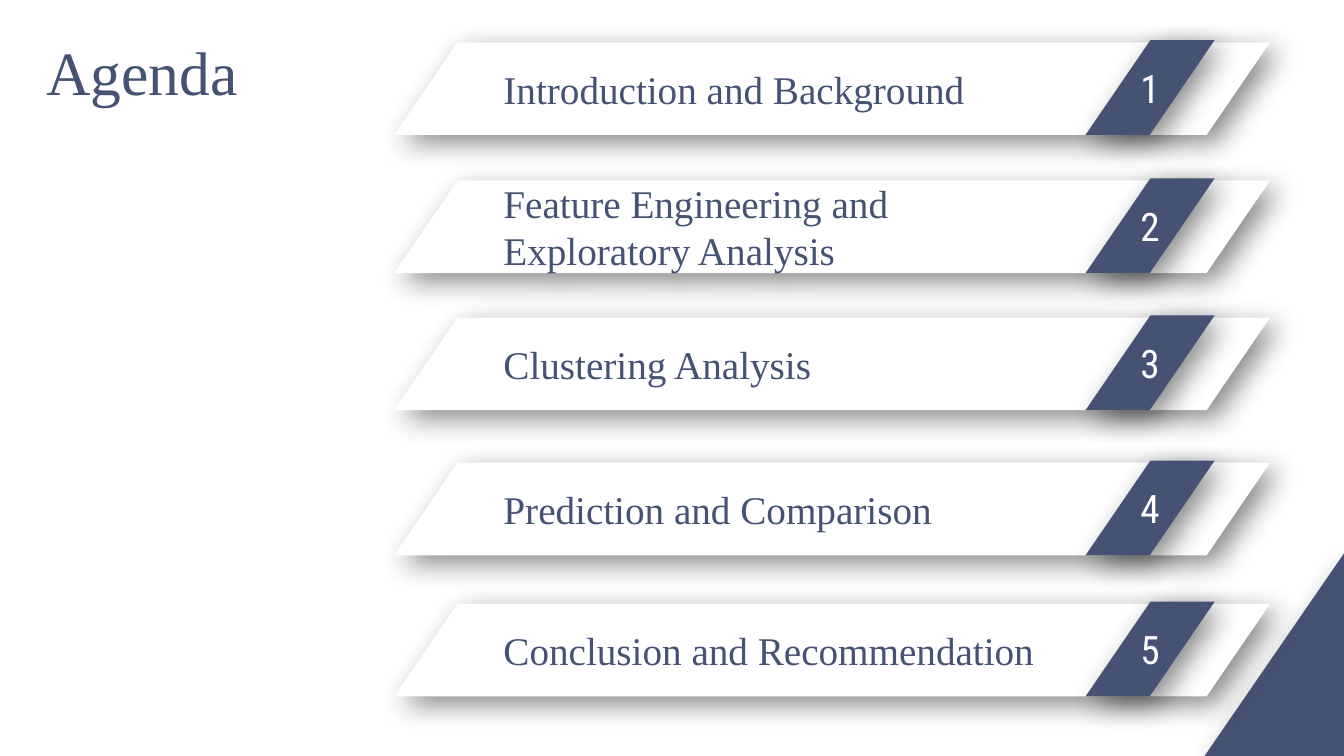
"""Agenda slide: five slanted bars with numbered tabs."""
from lxml import etree
from pptx import Presentation
from pptx.dml.color import RGBColor
from pptx.enum import shapes as kinds, text as txt
from pptx.oxml import ns
from pptx.util import Pt

NAVY = RGBColor(0x45, 0x52, 0x73)
WHITE = RGBColor(0xFF, 0xFF, 0xFF)
SLANT = 0.685
TOPICS = [
    (30.2, "Introduction and Background"),
    (128.9, "Feature Engineering and\nExploratory Analysis"),
    (226.8, "Clustering Analysis"),
    (330.5, "Prediction and Comparison"),
    (431.3, "Conclusion and Recommendation"),
]


def paint(shape, color):
    """Fill without outline and cast a soft shadow to the lower right."""
    shape.fill.solid()
    shape.fill.fore_color.rgb = color
    shape.line.fill.background()
    shape.shadow.inherit = False
    effects = shape._element.spPr.find(ns.qn("a:effectLst"))
    cast = etree.SubElement(effects, ns.qn("a:outerShdw"), blurRad=str(Pt(20)),
                            dist=str(Pt(8)), dir=str(45 * 60000), algn="tl", rotWithShape="0")
    black = etree.SubElement(cast, ns.qn("a:srgbClr"), val="000000")
    etree.SubElement(black, ns.qn("a:alpha"), val="45000")


def write(shape, words, font, size, color, align):
    """Put the words in the shape, one paragraph a line."""
    shape.text_frame.word_wrap = True
    shape.text_frame.text = words
    for paragraph in shape.text_frame.paragraphs:
        paragraph.alignment = align
        for run in paragraph.runs:
            run.font.name = font
            run.font.size = Pt(size)
            run.font.color.rgb = color


prs = Presentation()
prs.slide_width, prs.slide_height = Pt(960), Pt(540)
slide = prs.slides.add_slide(prs.slide_layouts[6])

outline = slide.shapes.build_freeform(Pt(960), Pt(395.3))
outline.add_line_segments([(Pt(960), Pt(540)), (Pt(860.4), Pt(540))], close=True)
paint(outline.convert_to_shape(), NAVY)

for number, (top, topic) in enumerate(TOPICS, 1):
    bar = slide.shapes.add_shape(kinds.MSO_SHAPE.PARALLELOGRAM,
                                 Pt(281.5), Pt(top), Pt(625.7), Pt(66.2))
    tab = slide.shapes.add_shape(kinds.MSO_SHAPE.PARALLELOGRAM,
                                 Pt(775.4), Pt(top - 1.5), Pt(92.2), Pt(67.7))
    for part, color in ((bar, WHITE), (tab, NAVY)):
        part.adjustments[0] = SLANT
        part.text_frame.vertical_anchor = txt.MSO_ANCHOR.MIDDLE
        paint(part, color)
    write(bar, topic, "Times New Roman", 28, NAVY, txt.PP_ALIGN.LEFT)
    write(tab, str(number), "Roboto Condensed", 28, WHITE, txt.PP_ALIGN.CENTER)

title = slide.shapes.add_textbox(Pt(25.9), Pt(15.8), Pt(797), Pt(60.5))
title.text_frame.margin_top = Pt(8.6)
write(title, "Agenda", "Times New Roman", 44, NAVY, txt.PP_ALIGN.LEFT)

prs.save("out.pptx")
